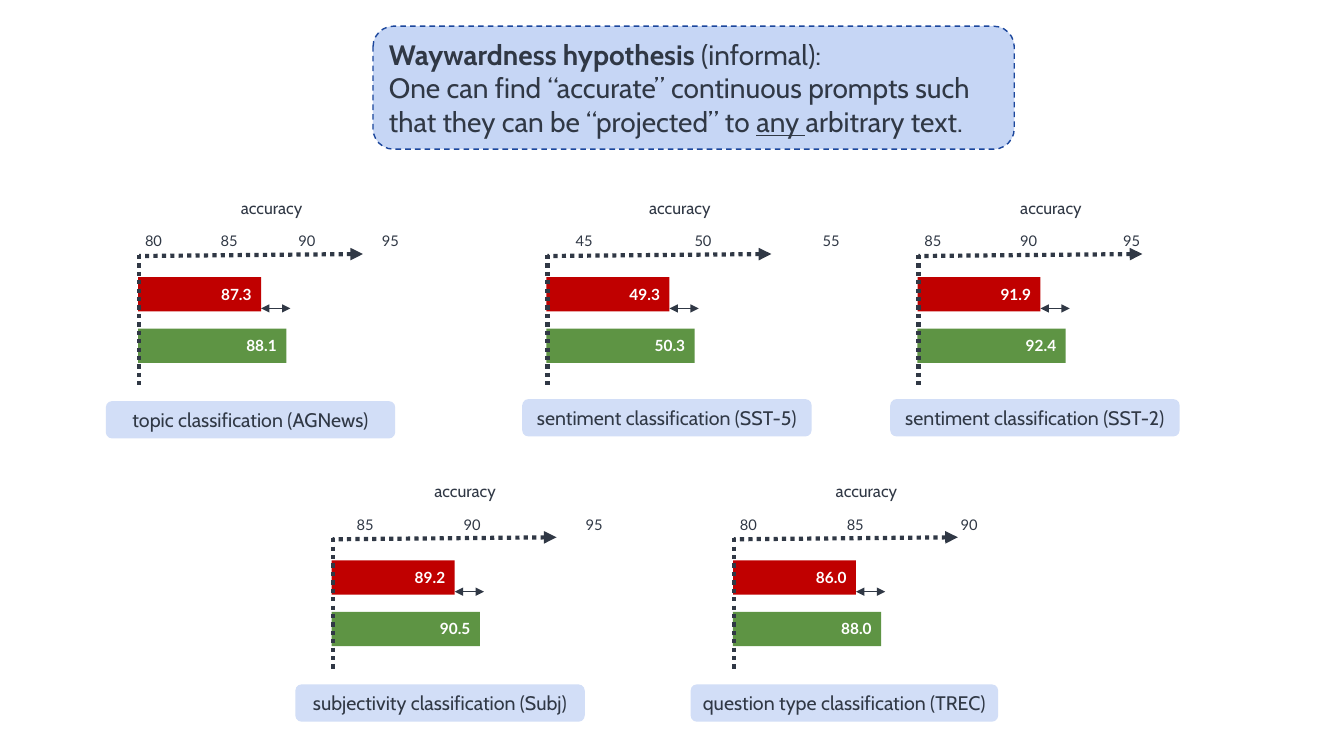
import lxml.etree
import pptx
import pptx.dml.color
import pptx.enum.dml
import pptx.enum.shapes
import pptx.enum.text
import pptx.oxml.ns
import pptx.util

PX = 9144  # one hundredth of an inch

INK = pptx.dml.color.RGBColor(0x30, 0x38, 0x45)
WHITE = pptx.dml.color.RGBColor(0xFF, 0xFF, 0xFF)
RED = pptx.dml.color.RGBColor(0xC0, 0x00, 0x00)
GREEN = pptx.dml.color.RGBColor(0x5E, 0x94, 0x44)
BOX_BLUE = pptx.dml.color.RGBColor(0xC6, 0xD6, 0xF5)
EDGE_BLUE = pptx.dml.color.RGBColor(0x1B, 0x46, 0x9C)
CAPTION_BLUE = pptx.dml.color.RGBColor(0xD2, 0xDE, 0xF7)

SHAPE = pptx.enum.shapes.MSO_SHAPE
DASH = pptx.enum.dml.MSO_LINE
ALIGN = pptx.enum.text.PP_ALIGN
MIDDLE = pptx.enum.text.MSO_ANCHOR.MIDDLE

# Axis origin, values of both bars, tick labels with their offsets,
# caption, and the caption's left, top and width relative to the origin.
PANELS = [
    ((138, 253), ("87.3", "88.1"), {0: "80", 75: "85", 152: "90", 235: "95"},
     "topic classification (AGNews)", (-33, 145, 287)),
    ((543, 253), ("49.3", "50.3"), {22: "45", 140: "50", 267: "55"},
     "sentiment classification (SST-5)", (-25, 143, 287)),
    ((911, 253), ("91.9", "92.4"), {0: "85", 95: "90", 197: "95"},
     "sentiment classification (SST-2)", (-28, 143, 287)),
    ((330, 534), ("89.2", "90.5"), {18: "85", 124: "90", 245: "95"},
     "subjectivity classification (Subj)", (-37, 145, 287)),
    ((728, 534), ("86.0", "88.0"), {0: "80", 106: "85", 219: "90"},
     "question type classification (TREC)", (-43, 145, 305)),
]


def scaled(*lengths):
    return [length * PX for length in lengths]


def add_span(para, text, size, font="Cabin", color=INK, bold=False, underline=False):
    span = para.add_run()
    span.text = text
    span.font.name = font
    span.font.size = pptx.util.Pt(size)
    span.font.color.rgb = color
    span.font.bold = bold
    span.font.underline = underline


def add_filled(shapes, kind, box, fill):
    shape = shapes.add_shape(kind, *scaled(*box))
    shape.shadow.inherit = False
    shape.fill.solid()
    shape.fill.fore_color.rgb = fill
    shape.line.fill.background()
    return shape


def add_label(shapes, box, align=ALIGN.LEFT, wrap=True):
    """Add an empty text box and return its first paragraph."""
    frame = shapes.add_textbox(*scaled(*box)).text_frame
    frame.word_wrap = wrap
    frame.vertical_anchor = MIDDLE
    para = frame.paragraphs[0]
    para.alignment = align
    return para


def add_line(shapes, start, end, width, dash=None, arrows=()):
    line = shapes.add_connector(
        pptx.enum.shapes.MSO_CONNECTOR.STRAIGHT, *scaled(*start, *end))
    line.line.color.rgb = INK
    line.line.width = pptx.util.Pt(width)
    if dash:
        line.line.dash_style = dash
    outline = line.line._get_or_add_ln()
    for arrow in arrows:
        lxml.etree.SubElement(outline, pptx.oxml.ns.qn(arrow), type="triangle")
    lxml.etree.SubElement(line._element.spPr, pptx.oxml.ns.qn("a:effectLst"))


def add_ticks(shapes, x, y, ticks):
    """Set the tick labels in one line, each at its own tab stop."""
    para = add_label(shapes, (x - 4, y - 28, 338, 28))
    tabs = lxml.etree.SubElement(
        para._p.get_or_add_pPr(), pptx.oxml.ns.qn("a:tabLst"))
    for offset in filter(None, ticks):
        lxml.etree.SubElement(
            tabs, pptx.oxml.ns.qn("a:tab"), pos=str(offset * PX), algn="l")
    line = "".join("\t" + text if offset else text for offset, text in ticks.items())
    add_span(para, line, 10.5, "Lato")


def add_bar(shapes, x, y, width, fill, value):
    add_filled(shapes, SHAPE.RECTANGLE, (x, y, width, 34), fill)
    para = add_label(shapes, (x + width - 63, y + 2, 77, 29), ALIGN.CENTER)
    add_span(para, value, 11, "Lato", WHITE, bold=True)


def add_panel(slide, origin, values, ticks):
    x, y = origin
    shapes = slide.shapes.add_group_shape().shapes
    add_span(add_label(shapes, (x + 91, y - 62, 81, 30), wrap=False), "accuracy", 12)
    add_ticks(shapes, x, y, ticks)
    add_line(shapes, (x + 222, y - 1), (x, y + 1), 3, DASH.ROUND_DOT, ["a:headEnd"])
    add_bar(shapes, x - 1, y + 73, 147, GREEN, values[1])
    add_bar(shapes, x - 1, y + 22, 122, RED, values[0])
    add_line(shapes, (x, y), (x, y + 133), 3, DASH.ROUND_DOT)
    add_line(shapes, (x + 121, y + 53), (x + 150, y + 53), 0.5,
             arrows=["a:headEnd", "a:tailEnd"])


def add_caption(slide, left, top, width, text):
    shape = add_filled(
        slide.shapes, SHAPE.ROUNDED_RECTANGLE, (left, top, width, 37), CAPTION_BLUE)
    frame = shape.text_frame
    frame.margin_left = frame.margin_right = 5 * PX
    frame.vertical_anchor = MIDDLE
    para = frame.paragraphs[0]
    para.alignment = ALIGN.CENTER
    add_span(para, text, 14)


def add_hypothesis(slide, box):
    shape = add_filled(slide.shapes, SHAPE.ROUNDED_RECTANGLE, box, BOX_BLUE)
    shape.line.color.rgb = EDGE_BLUE
    shape.line.width = pptx.util.Pt(1)
    shape.line.dash_style = DASH.DASH
    frame = shape.text_frame
    frame.vertical_anchor = MIDDLE
    heading, claim = frame.paragraphs[0], frame.add_paragraph()
    heading.alignment = claim.alignment = ALIGN.LEFT
    add_span(heading, "Waywardness hypothesis", 20, bold=True)
    add_span(heading, " (informal):", 20)
    add_span(claim, "One can find “accurate” continuous prompts such that "
                    "they can be “projected” to ", 20)
    add_span(claim, "any ", 20, underline=True)
    add_span(claim, "arbitrary text.", 20)


def main():
    deck = pptx.Presentation()
    deck.slide_width, deck.slide_height = scaled(1333, 750)
    slide = deck.slides.add_slide(deck.slide_layouts.get_by_name("Blank"))
    add_hypothesis(slide, (370, 26, 636, 122))
    for origin, values, ticks, caption, (left, top, width) in PANELS:
        add_panel(slide, origin, values, ticks)
        add_caption(slide, origin[0] + left, origin[1] + top, width, caption)
    deck.save("out.pptx")


if __name__ == "__main__":
    main()
